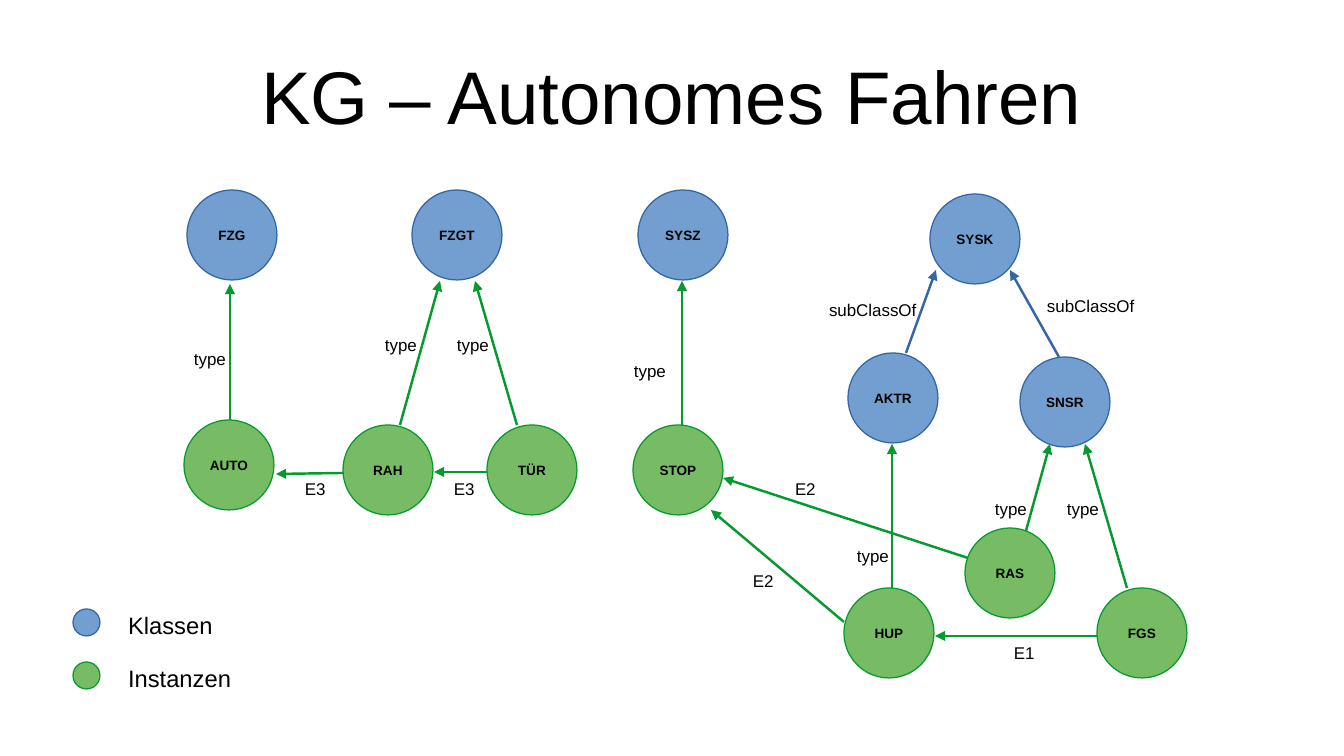
from dataclasses import dataclass

from lxml.etree import SubElement
from pptx import Presentation
from pptx.dml.color import RGBColor
from pptx.enum.shapes import MSO_CONNECTOR, MSO_SHAPE
from pptx.enum.text import MSO_ANCHOR, MSO_AUTO_SIZE, PP_ALIGN
from pptx.oxml.ns import qn
from pptx.shapes.autoshape import Shape
from pptx.slide import Slide
from pptx.text.text import TextFrame
from pptx.util import Emu, Pt


def px(n: int) -> Emu:
    return Emu(round(n * 914400 / 122))


@dataclass(frozen=True)
class Kind:
    fill: RGBColor
    line: RGBColor


@dataclass(frozen=True)
class Theme:
    classes: Kind = Kind(RGBColor(0x72, 0x9F, 0xCF), RGBColor(0x34, 0x65, 0xA4))
    instances: Kind = Kind(RGBColor(0x77, 0xBC, 0x65), RGBColor(0x06, 0x9A, 0x2E))
    ink: RGBColor = RGBColor(0, 0, 0)
    font: str = "Arial"
    title: int = 44
    legend: int = 14
    relation: int = 10
    node: int = 8
    arrow: float = 1.45


THEME = Theme()
CLS, INST = THEME.classes, THEME.instances
NODE_SIZE, KEY_SIZE = 90, 27
LABEL_SIZES = {"subClassOf": (131, 35), "type": (59, 35)}
SHORT_LABEL = (50, 31)


@dataclass(frozen=True)
class Node:
    name: str
    kind: Kind
    x: int
    y: int


@dataclass(frozen=True)
class Relation:
    """Arrow whose head sits on the object, with its label's corner."""
    label: str
    kind: Kind
    head: tuple[int, int]
    tail: tuple[int, int]
    label_at: tuple[int, int]


NODES = [
    Node("FZG", CLS, 187, 190),
    Node("FZGT", CLS, 412, 190),
    Node("SYSZ", CLS, 638, 190),
    Node("SYSK", CLS, 930, 194),
    Node("AKTR", CLS, 848, 353),
    Node("SNSR", CLS, 1020, 357),
    Node("AUTO", INST, 184, 420),
    Node("RAH", INST, 343, 425),
    Node("TÜR", INST, 487, 425),
    Node("STOP", INST, 633, 425),
    Node("RAS", INST, 965, 528),
    Node("HUP", INST, 844, 588),
    Node("FGS", INST, 1097, 588),
]

RELATIONS = [
    Relation("subClassOf", CLS, (936, 270), (906, 353), (817, 294)),
    Relation("subClassOf", CLS, (1010, 270), (1059, 357), (1035, 290)),
    Relation("type", INST, (230, 284), (230, 420), (182, 343)),
    Relation("type", INST, (440, 281), (400, 425), (373, 329)),
    Relation("type", INST, (475, 281), (517, 425), (445, 329)),
    Relation("type", INST, (682, 281), (682, 425), (622, 355)),
    Relation("type", INST, (892, 444), (892, 588), (845, 540)),
    Relation("type", INST, (1050, 444), (1026, 531), (983, 493)),
    Relation("type", INST, (1085, 444), (1127, 588), (1055, 493)),
    Relation("E1", INST, (935, 636), (1097, 636), (1002, 637)),
    Relation("E2", INST, (711, 510), (844, 622), (741, 565)),
    Relation("E2", INST, (723, 478), (968, 558), (783, 473)),
    Relation("E3", INST, (434, 472), (487, 472), (442, 473)),
    Relation("E3", INST, (276, 474), (343, 473), (293, 473)),
]

LEGEND = [("Klassen", CLS), ("Instanzen", INST)]
LEGEND_TOP, LEGEND_STEP = 605, 53


def write(frame: TextFrame, text: str, size: int, align: PP_ALIGN, bold: bool = False) -> None:
    frame.text = text
    paragraph = frame.paragraphs[0]
    paragraph.alignment = align
    font = paragraph.font
    font.name, font.size, font.bold = THEME.font, Pt(size), bold
    font.color.rgb = THEME.ink


def add_circle(slide: Slide, kind: Kind, x: int, y: int, size: int) -> Shape:
    circle = slide.shapes.add_shape(MSO_SHAPE.OVAL, px(x), px(y), px(size), px(size))
    circle.shadow.inherit = False
    circle.fill.solid()
    circle.fill.fore_color.rgb = kind.fill
    circle.line.color.rgb = kind.line
    circle.line.width = Pt(0)
    return circle


def add_label(slide: Slide, text: str, x: int, y: int, w: int, h: int, size: int) -> None:
    frame = slide.shapes.add_textbox(px(x), px(y), px(w), px(h)).text_frame
    frame.word_wrap = True
    frame.auto_size = MSO_AUTO_SIZE.SHAPE_TO_FIT_TEXT
    write(frame, text, size, PP_ALIGN.LEFT)


def add_node(slide: Slide, node: Node) -> None:
    frame = add_circle(slide, node.kind, node.x, node.y, NODE_SIZE).text_frame
    frame.vertical_anchor = MSO_ANCHOR.MIDDLE
    write(frame, node.name, THEME.node, PP_ALIGN.CENTER, bold=True)


def add_relation(slide: Slide, relation: Relation) -> None:
    ends = [px(n) for n in (*relation.head, *relation.tail)]
    arrow = slide.shapes.add_connector(MSO_CONNECTOR.STRAIGHT, *ends)
    arrow.line.color.rgb = relation.kind.line
    arrow.line.width = Pt(THEME.arrow)
    properties = arrow.element.spPr
    SubElement(properties.find(qn("a:ln")), qn("a:headEnd"), type="triangle")
    SubElement(properties, qn("a:effectLst"))
    width, height = LABEL_SIZES.get(relation.label, SHORT_LABEL)
    add_label(slide, relation.label, *relation.label_at, width, height, THEME.relation)


def add_title(slide: Slide, text: str) -> None:
    title = slide.shapes.title
    title.left, title.top, title.width, title.height = px(67), px(31), px(1210), px(127)
    frame = title.text_frame
    frame.margin_left = frame.margin_right = frame.margin_top = frame.margin_bottom = 0
    frame.vertical_anchor = MSO_ANCHOR.MIDDLE
    write(frame, text, THEME.title, PP_ALIGN.CENTER)


def main() -> None:
    deck = Presentation()
    deck.slide_width, deck.slide_height = px(1344), px(756)
    slide = deck.slides.add_slide(deck.slide_layouts[5])
    add_title(slide, "KG – Autonomes Fahren")

    # Knowledge graph
    for node in NODES:
        add_node(slide, node)
    for relation in RELATIONS:
        add_relation(slide, relation)

    # Legend
    for row, (caption, kind) in enumerate(LEGEND):
        top = LEGEND_TOP + row * LEGEND_STEP
        add_circle(slide, kind, 73, top + 4, KEY_SIZE)
        add_label(slide, caption, 116, top, 140, 39, THEME.legend)

    deck.save("out.pptx")


if __name__ == "__main__":
    main()
